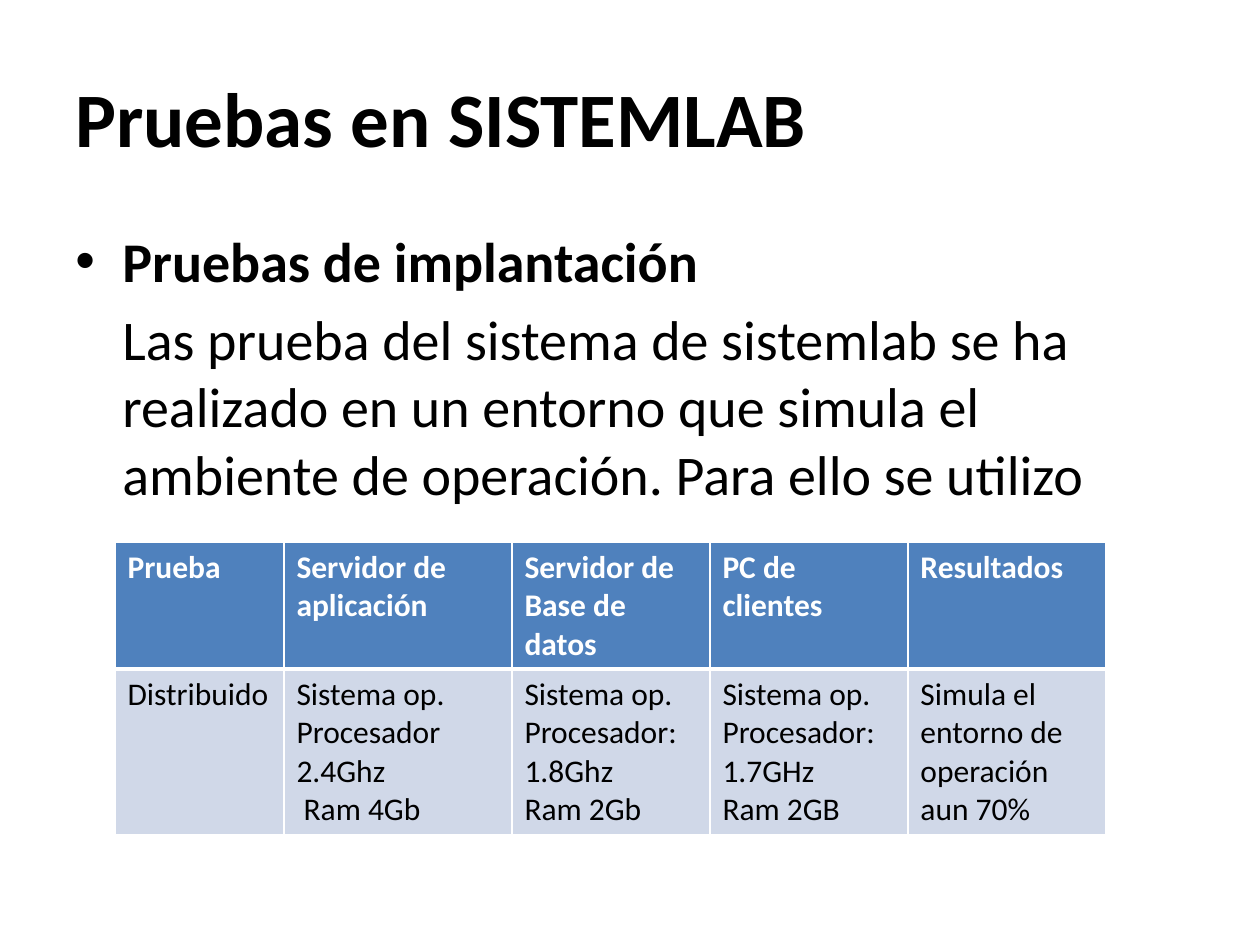
"""Build the slide on implantation tests with its table of test environments."""
from lxml.etree import SubElement
from pptx import Presentation
from pptx.dml.color import RGBColor as Color
from pptx.enum.text import MSO_ANCHOR as Anchor
from pptx.oxml.ns import qn
from pptx.util import Pt

PX = 914400 / 126
FONT = "Calibri"
BLACK, WHITE, BLUE, PALE = "000000", "FFFFFF", "4F81BD", "D0D8E8"


def px(length):
    return round(length * PX)


def style(paragraph, size, color, bold):
    for span in paragraph.runs:
        span.font.name = FONT
        span.font.size = Pt(size)
        span.font.bold = bold
        span.font.color.rgb = Color.from_string(color)


deck = Presentation()
deck.slide_width, deck.slide_height = px(1260), px(945)
page = deck.slides.add_slide(deck.slide_layouts[6])

title = page.shapes.add_textbox(px(63), px(38), px(1134), px(157)).text_frame
title.word_wrap = True
title.vertical_anchor = Anchor.MIDDLE
title.text = "Pruebas en SISTEMLAB"
style(title.paragraphs[0], 44, BLACK, True)

body = page.shapes.add_textbox(px(63), px(220), px(1134), px(624)).text_frame
body.word_wrap = True
body.text = (
    "Pruebas de implantación\n"
    "Las prueba del sistema de sistemlab se ha realizado en un entorno que "
    "simula el ambiente de operación. Para ello se utilizo"
)
for para, bullet in zip(body.paragraphs, ("•", None)):
    style(para, 32, BLACK, bullet is not None)
    para.space_before = Pt(6.4)
    properties = para._p.get_or_add_pPr()
    properties.set("marL", str(px(47)))
    properties.set("indent", str(px(-47) if bullet else 0))
    if bullet:
        SubElement(properties, qn("a:buFont"), typeface="Arial")
        SubElement(properties, qn("a:buChar"), char=bullet)

rows = [
    ["Prueba", "Servidor de aplicación", "Servidor de Base de datos",
     "PC de clientes", "Resultados"],
    ["Distribuido",
     "Sistema op.\nProcesador 2.4Ghz\n Ram 4Gb",
     "Sistema op.\nProcesador: 1.8Ghz\nRam 2Gb",
     "Sistema op.\nProcesador:\n1.7GHz\nRam 2GB",
     "Simula el entorno de operación aun 70%"],
]
widths = [169, 228, 198, 198, 198]
heights = [127, 166]
frame = page.shapes.add_table(
    len(rows), len(widths), px(115), px(542), px(sum(widths)), px(sum(heights)))
table = frame.table
for column, width in zip(table.columns, widths):
    column.width = px(width)
for row, height in zip(table.rows, heights):
    row.height = px(height)

for row_index, texts in enumerate(rows):
    header = row_index == 0
    edges = {"L": 1, "R": 1, "T": 1 if header else 3, "B": 3 if header else 1}
    for column_index, text in enumerate(texts):
        cell = table.cell(row_index, column_index)
        cell.text = text
        for para in cell.text_frame.paragraphs:
            style(para, 18, WHITE if header else BLACK, header)
        properties = cell._tc.get_or_add_tcPr()
        for side, points in edges.items():
            line = SubElement(properties, qn(f"a:ln{side}"), w=str(Pt(points)))
            fill = SubElement(line, qn("a:solidFill"))
            SubElement(fill, qn("a:srgbClr"), val=WHITE)
        cell.fill.solid()
        cell.fill.fore_color.rgb = Color.from_string(BLUE if header else PALE)

deck.save("out.pptx")
